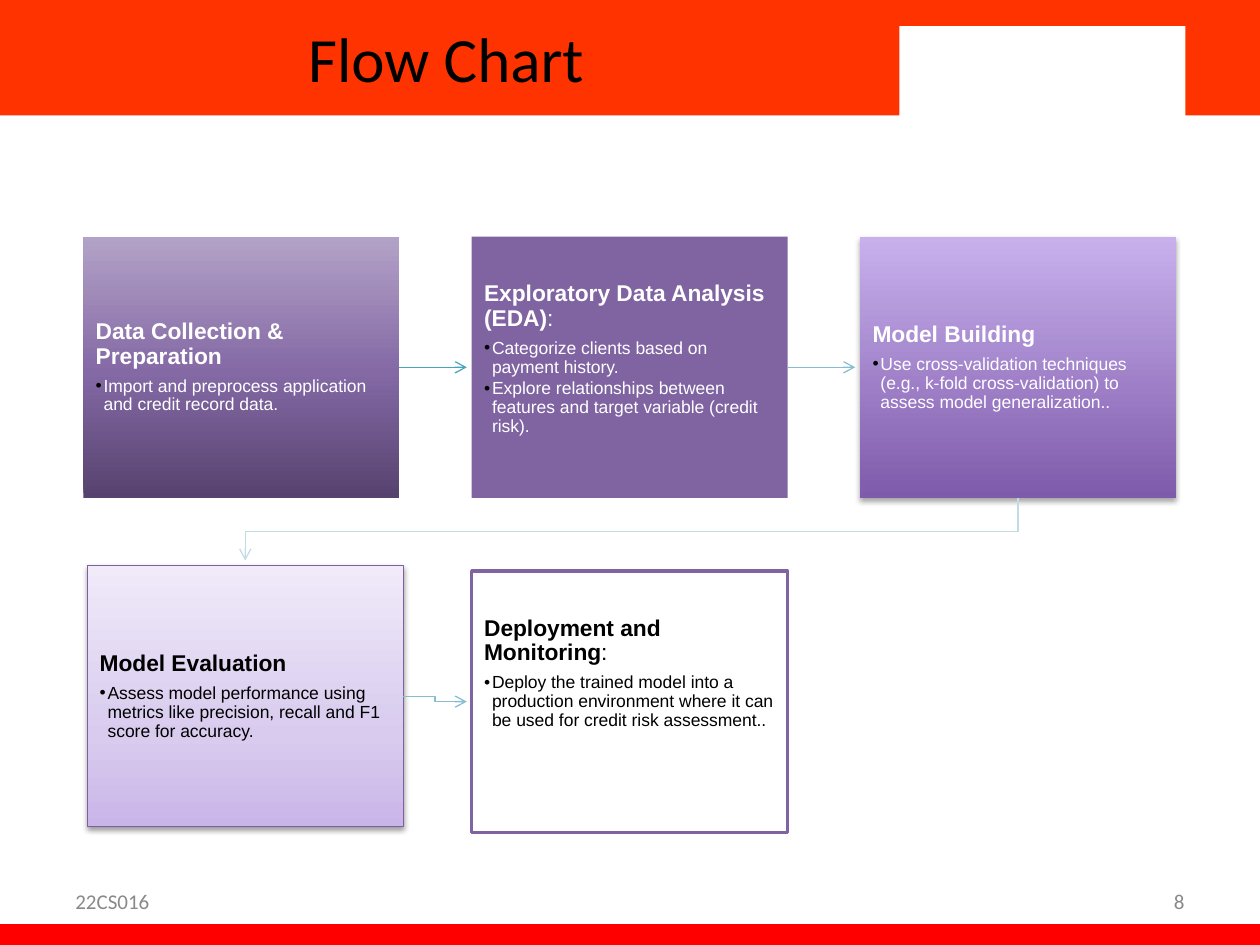
import pptx
import pptx.util
import pptx.dml.color
import pptx.enum.shapes
import pptx.enum.text
import pptx.oxml
import pptx.oxml.ns

Cm, Pt = pptx.util.Cm, pptx.util.Pt
RGB = pptx.dml.color.RGBColor
KIND = pptx.enum.shapes.MSO_SHAPE
ALIGN = pptx.enum.text.PP_ALIGN
ANCHOR = pptx.enum.text.MSO_ANCHOR

ORANGE = RGB(0xFF, 0x33, 0x00)
RED = RGB(0xFF, 0x00, 0x00)
WHITE = RGB(0xFF, 0xFF, 0xFF)
BLACK = RGB(0x00, 0x00, 0x00)
GREY = RGB(0x89, 0x89, 0x89)
PURPLE = RGB(0x80, 0x64, 0xA2)
EDGE = RGB(0x7D, 0x60, 0xA0)
TEAL = RGB(0x48, 0xA4, 0xBD)
SKY = RGB(0x86, 0xBD, 0xD0)
PALE = RGB(0xC2, 0xDB, 0xE5)
DUSK = [(0, RGB(0x56, 0x42, 0x6E)), (48, RGB(0x84, 0x69, 0xA5)),
        (100, RGB(0xB3, 0xA2, 0xC7))]
LILAC = [(0, RGB(0x7F, 0x5B, 0xAB)), (100, RGB(0xC8, 0xB0, 0xED))]
MIST = [(0, RGB(0xC9, 0xB5, 0xE8)), (35, RGB(0xD8, 0xCB, 0xEE)),
        (100, RGB(0xF0, 0xEA, 0xF9))]

WIDE, HIGH = 6.37, 5.27          # size of a step box, cm
LEFT, TOP, PITCH = 1.68, 4.77, 7.83
GAP = 0.1                        # from an arrowhead to its box, cm


def node(tag, **attrs):
    elem = pptx.oxml.parse_xml(f"<a:{tag} {pptx.oxml.ns.nsdecls('a')}/>")
    for key, val in attrs.items():
        elem.set(key, str(val))
    return elem


def assign(obj, **vals):
    for key, val in vals.items():
        setattr(obj, key, val)


class Deck:
    def __init__(self, font, wide, high):
        self.font = font
        self.file = pptx.Presentation()
        assign(self.file, slide_width=Cm(wide), slide_height=Cm(high))
        self.slide = self.file.slides.add_slide(self.file.slide_layouts[6])
        self.shapes = self.slide.shapes

    def rect(self, x, y, w, h, fill, edge=None, width=0.75, shade=None):
        """Draw a rectangle; fill is a colour or a list of stops from the bottom up."""
        box = self.shapes.add_shape(KIND.RECTANGLE, Cm(x), Cm(y), Cm(w), Cm(h))
        box.shadow.inherit = False
        if isinstance(fill, list):
            self.blend(box, fill)
        else:
            box.fill.solid()
            box.fill.fore_color.rgb = fill
        if edge is None:
            box.line.fill.background()
        else:
            box.line.color.rgb = edge
            box.line.width = Pt(width)
        if shade:
            self.shade(box, shade)
        return box

    def blend(self, box, stops):
        box.fill.background()
        grad, row = node("gradFill", rotWithShape=1), node("gsLst")
        for spot, tint in stops:
            stop = node("gs", pos=spot * 1000)
            stop.append(node("srgbClr", val=tint))
            row.append(stop)
        grad.append(row)
        grad.append(node("lin", ang=270 * 60000, scaled=0))
        props = box._element.spPr
        props.replace(props.find(pptx.oxml.ns.qn("a:noFill")), grad)

    def shade(self, box, alpha):
        drop = node("outerShdw", blurRad=Pt(3.1), dist=Pt(1.7), dir=90 * 60000,
                    rotWithShape=0)
        tint = node("srgbClr", val=BLACK)
        tint.append(node("alpha", val=alpha * 1000))
        drop.append(tint)
        box._element.spPr.find(pptx.oxml.ns.qn("a:effectLst")).append(drop)

    def run(self, para, text, size, tint, bold=False, font=None):
        run = para.add_run()
        run.text = text
        assign(run.font, name=font or self.font, size=Pt(size), bold=bold)
        run.font.color.rgb = tint

    def label(self, x, y, w, h, text, size, tint, align):
        box = self.shapes.add_textbox(Cm(x), Cm(y), Cm(w), Cm(h))
        assign(box.text_frame, word_wrap=True, vertical_anchor=ANCHOR.MIDDLE)
        para = box.text_frame.paragraphs[0]
        para.alignment = align
        self.run(para, text, size, tint, font="Calibri")

    def step(self, x, y, head, items, tint, **look):
        """Draw a step box; a head that ends in a colon starts from the top."""
        box = self.rect(x, y, WIDE, HIGH, **look)
        high = head.endswith(":")
        frame = box.text_frame
        assign(frame, word_wrap=True, margin_left=Cm(0.25), margin_right=Cm(0.25),
               margin_top=Cm(0.92 if high else 0.25), margin_bottom=Cm(0.25),
               vertical_anchor=ANCHOR.TOP if high else ANCHOR.MIDDLE)
        para = frame.paragraphs[0]
        assign(para, alignment=ALIGN.LEFT, line_spacing=0.9, space_after=Pt(4.5))
        self.run(para, head.rstrip(":"), 13, tint, True)
        if high:
            self.run(para, ":", 13, tint)
        for item in items:
            para = frame.add_paragraph()
            assign(para, alignment=ALIGN.LEFT, line_spacing=0.9,
                   space_after=Pt(1.5), level=1)
            self.run(para, item, 10, tint)
            self.dot(para)
        return box

    def dot(self, para):
        props = para._p.get_or_add_pPr()
        props.set("marL", str(Cm(0.16)))
        props.set("indent", str(-Cm(0.16)))
        hue = node("buClr")
        hue.append(node("srgbClr", val=BLACK))
        for elem in (hue, node("buFont", typeface="Arial"), node("buChar", char="•")):
            props.append(elem)

    def tip(self, line, tint):
        line.line.color.rgb = tint
        line.line.width = Pt(0.75)
        line.line._get_or_add_ln().append(node("tailEnd", type="arrow"))

    def arrow(self, start, goal, tint):
        """Join the right side of start to a point just before goal."""
        mid = start.top + start.height // 2
        line = self.shapes.add_connector(
            pptx.enum.shapes.MSO_CONNECTOR.STRAIGHT,
            start.left + start.width, mid, goal.left - Cm(GAP), mid)
        line.begin_connect(start, 3)
        line._element.spPr.append(node("effectLst"))
        self.tip(line, tint)

    def bend(self, spots, tint):
        """Draw an arrow through points given in cm."""
        spots = [(Cm(x), Cm(y)) for x, y in spots]
        path = self.shapes.build_freeform(*spots[0])
        path.add_line_segments(spots[1:], close=False)
        line = path.convert_to_shape()
        line.shadow.inherit = False
        line.fill.background()
        self.tip(line, tint)


def main():
    deck = Deck("Arial", 25.4, 19.05)
    deck.rect(0, 0, 25.4, 2.33, ORANGE)
    deck.rect(0, 18.63, 25.4, 0.55, RED)
    deck.rect(18.13, 0.53, 5.77, 1.9, WHITE)
    deck.label(0, 0, 17.98, 2.33, "Flow Chart", 36, BLACK, ALIGN.CENTER)
    deck.label(1.27, 17.65, 5.92, 1.02, "22CS016", 12, GREY, ALIGN.LEFT)
    deck.label(18.21, 17.65, 5.92, 1.02, "8", 12, GREY, ALIGN.RIGHT)

    cols = [LEFT + PITCH * i for i in range(3)]
    data = deck.step(cols[0], TOP, "Data Collection & Preparation",
                     ["Import and preprocess application and credit record data."],
                     WHITE, fill=DUSK)
    study = deck.step(cols[1], TOP, "Exploratory Data Analysis (EDA):",
                      ["Categorize clients based on payment history.",
                       "Explore relationships between features and target variable "
                       "(credit risk)."], WHITE, fill=PURPLE)
    model = deck.step(cols[2], TOP, "Model Building",
                      ["Use cross-validation techniques (e.g., k-fold "
                       "cross-validation) to assess model generalization.."],
                      WHITE, fill=LILAC, shade=35)
    test_x, test_y, ship_y = 1.76, 11.4, 11.51
    deck.step(test_x, test_y, "Model Evaluation",
              ["Assess model performance using metrics like precision, recall "
               "and F1 score for accuracy."], BLACK, fill=MIST, edge=EDGE, shade=38)
    deck.step(cols[1], ship_y, "Deployment and Monitoring:",
              ["Deploy the trained model into a production environment where it "
               "can be used for credit risk assessment.."],
              BLACK, fill=WHITE, edge=PURPLE, width=2)

    deck.arrow(data, study, TEAL)
    deck.arrow(study, model, SKY)
    from_x, to_x, low = cols[2] + WIDE / 2, test_x + WIDE / 2, TOP + HIGH
    turn = (low + test_y) / 2
    deck.bend([(from_x, low), (from_x, turn), (to_x, turn), (to_x, test_y - GAP)],
              PALE)
    side, end = test_x + WIDE, cols[1] - GAP
    turn = (side + end) / 2
    from_y, to_y = test_y + HIGH / 2, ship_y + HIGH / 2
    deck.bend([(side, from_y), (turn, from_y), (turn, to_y), (end, to_y)], SKY)
    deck.file.save("out.pptx")


if __name__ == "__main__":
    main()
